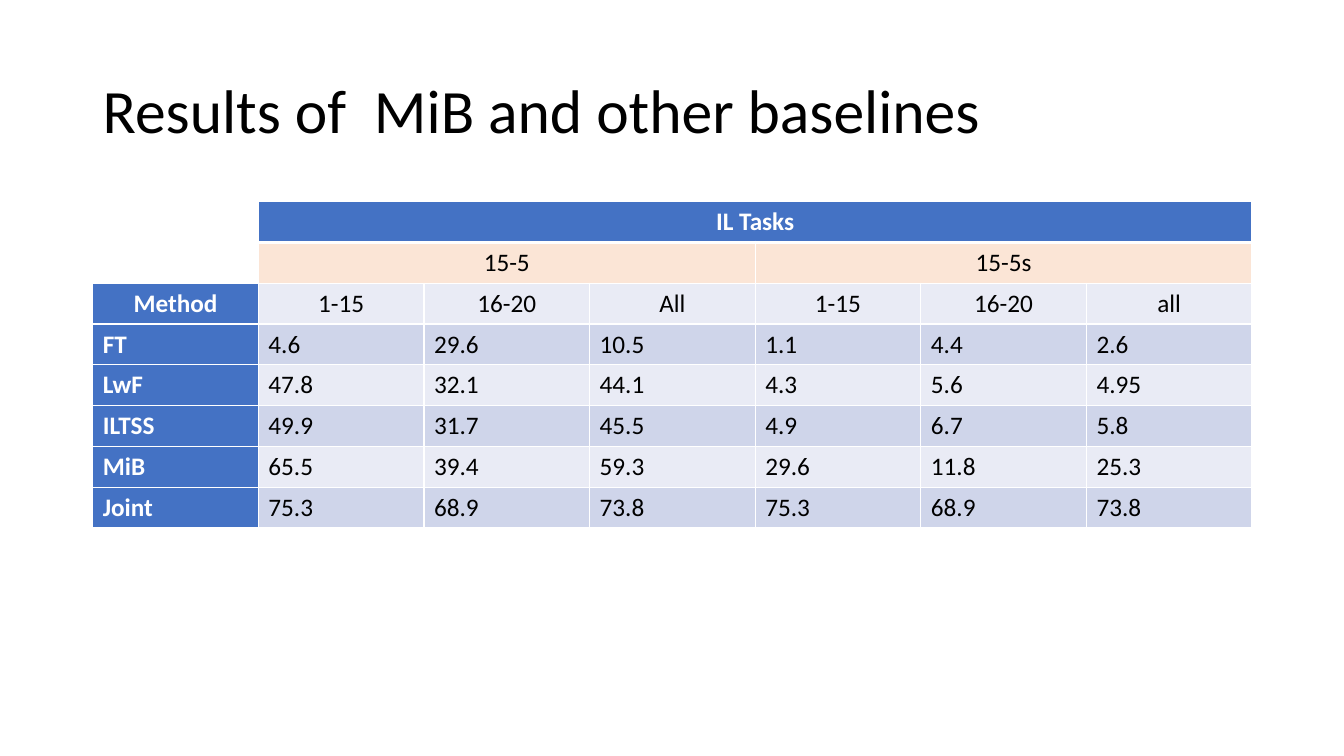
from dataclasses import dataclass
from typing import Optional

from lxml import etree
from pptx import Presentation
from pptx.dml import color
from pptx.enum import text
from pptx.oxml import ns
from pptx.util import Emu, Pt

PX = 9144
FONT = "Calibri"
BLACK = color.RGBColor(0x00, 0x00, 0x00)
WHITE = color.RGBColor(0xFF, 0xFF, 0xFF)
BLUE = color.RGBColor(0x44, 0x72, 0xC4)
PEACH = color.RGBColor(0xFB, 0xE5, 0xD6)
LIGHT_BAND = color.RGBColor(0xE9, 0xEB, 0xF5)
DARK_BAND = color.RGBColor(0xCF, 0xD5, 0xEA)
LEFT = text.PP_ALIGN.LEFT
CENTER = text.PP_ALIGN.CENTER

TASKS = ["1-15", "16-20", "All", "1-15", "16-20", "all"]
RESULTS = {
    "FT": [4.6, 29.6, 10.5, 1.1, 4.4, 2.6],
    "LwF": [47.8, 32.1, 44.1, 4.3, 5.6, 4.95],
    "ILTSS": [49.9, 31.7, 45.5, 4.9, 6.7, 5.8],
    "MiB": [65.5, 39.4, 59.3, 29.6, 11.8, 25.3],
    "Joint": [75.3, 68.9, 73.8, 75.3, 68.9, 73.8],
}


@dataclass(frozen=True)
class Entry:
    """A table cell's place, wording and look."""

    row: int
    column: int
    label: str
    fill: Optional[color.RGBColor]
    align: text.PP_ALIGN = LEFT
    header: bool = False
    span: int = 1


def px(length: int) -> Emu:
    """Turn px into EMU."""
    return Emu(length * PX)


def add_span(para, label: str, size: int, ink: color.RGBColor, bold: bool = False) -> None:
    """Add one styled run to a paragraph."""
    span = para.add_run()
    span.text = label
    span.font.name = FONT
    span.font.size = Pt(size)
    span.font.bold = bold
    span.font.color.rgb = ink


def add_title(page, label: str) -> None:
    """Draw the slide title."""
    box = page.shapes.add_textbox(px(92), px(40), px(1150), px(145))
    frame = box.text_frame
    frame.word_wrap = True
    frame.vertical_anchor = text.MSO_ANCHOR.MIDDLE
    para = frame.paragraphs[0]
    para.line_spacing = 0.9
    add_span(para, label, 44, BLACK)


def result_entries() -> list[Entry]:
    """List every cell of the results table."""
    entries = [
        Entry(0, 0, "", None),
        Entry(0, 1, "IL Tasks", BLUE, CENTER, True, 6),
        Entry(1, 0, "", None),
        Entry(1, 1, "15-5", PEACH, CENTER, span=3),
        Entry(1, 4, "15-5s", PEACH, CENTER, span=3),
        Entry(2, 0, "Method", BLUE, CENTER, True),
    ]
    entries += [Entry(2, column, task, LIGHT_BAND, CENTER) for column, task in enumerate(TASKS, 1)]
    for row, (method, scores) in enumerate(RESULTS.items(), 3):
        band = DARK_BAND if row % 2 else LIGHT_BAND
        entries.append(Entry(row, 0, method, BLUE, header=True))
        entries += [Entry(row, column, str(score), band) for column, score in enumerate(scores, 1)]
    return entries


def set_borders(cell, row: int) -> None:
    """Give a cell white borders, thicker under the top row."""
    widths = {"lnL": 1, "lnR": 1, "lnT": 3 if row == 1 else 1, "lnB": 3 if row == 0 else 1}
    properties = cell._tc.get_or_add_tcPr()
    for index, (side, width) in enumerate(widths.items()):
        line = etree.Element(ns.qn(f"a:{side}"), w=str(Pt(width)))
        fill = etree.SubElement(line, ns.qn("a:solidFill"))
        etree.SubElement(fill, ns.qn("a:srgbClr"), val=str(WHITE))
        properties.insert(index, line)


def draw_entry(table, entry: Entry) -> None:
    """Fill, border and label one cell of the table."""
    last = entry.column + entry.span - 1
    cell = table.cell(entry.row, entry.column)
    if entry.span > 1:
        cell.merge(table.cell(entry.row, last))
    for column in range(entry.column, last + 1):
        part = table.cell(entry.row, column)
        if entry.fill is None:
            part.fill.background()
        else:
            part.fill.solid()
            part.fill.fore_color.rgb = entry.fill
        set_borders(part, entry.row)
    if entry.label:
        para = cell.text_frame.paragraphs[0]
        para.alignment = entry.align
        add_span(para, entry.label, 18, WHITE if entry.header else BLACK, entry.header)


def add_results(page) -> None:
    """Draw the results table."""
    rows, columns = 3 + len(RESULTS), 1 + len(TASKS)
    table = page.shapes.add_table(rows, columns, px(92), px(200), px(1150), px(324)).table
    table.first_row = False
    table.horz_banding = False
    for entry in result_entries():
        draw_entry(table, entry)


def main() -> None:
    """Build and save the slide."""
    deck = Presentation()
    deck.slide_width = px(1333)
    deck.slide_height = px(750)
    page = deck.slides.add_slide(deck.slide_layouts[6])
    add_title(page, "Results of  MiB and other baselines")
    add_results(page)
    deck.save("out.pptx")


if __name__ == "__main__":
    main()
